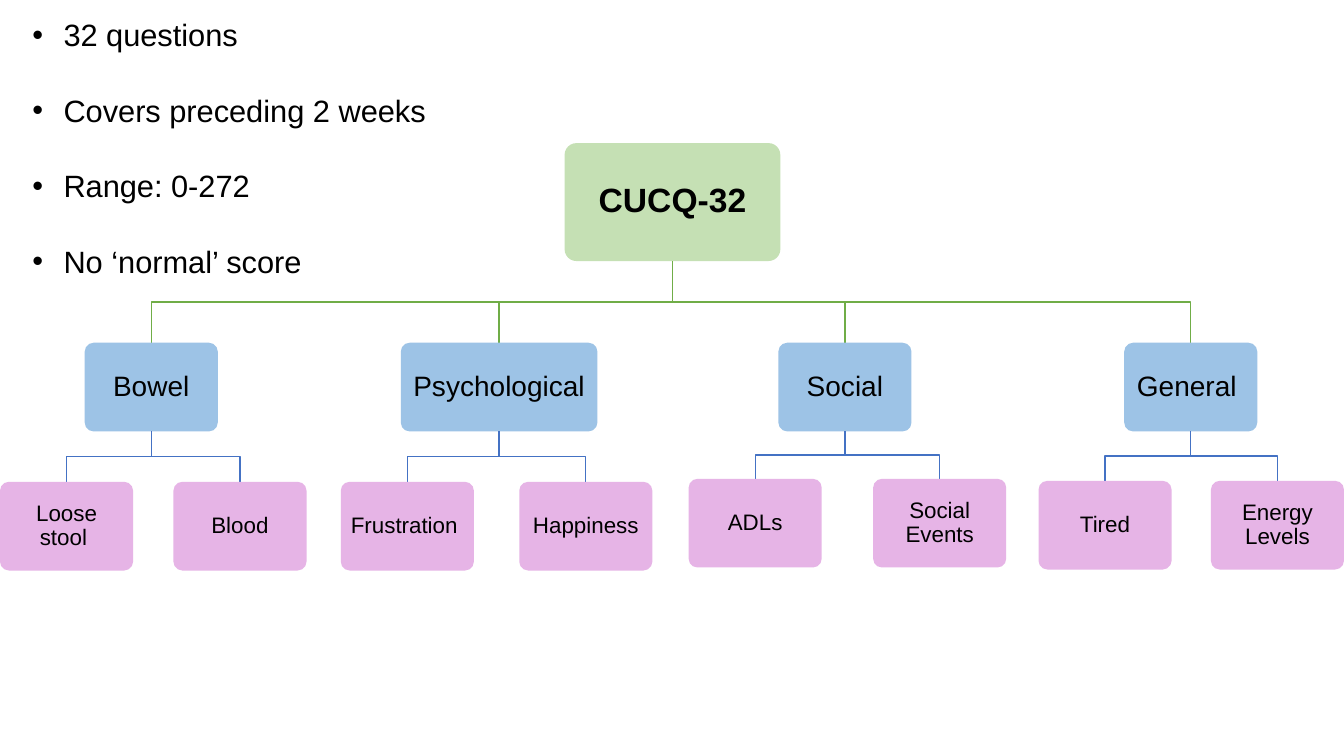
from pptx import Presentation
from pptx.dml.color import RGBColor
from pptx.enum.shapes import MSO_SHAPE
from pptx.enum.text import MSO_ANCHOR, MSO_AUTO_SIZE, PP_ALIGN
from pptx.util import Inches, Pt

ROUNDED = MSO_SHAPE.ROUNDED_RECTANGLE
MIDDLE, TOP = MSO_ANCHOR.MIDDLE, MSO_ANCHOR.TOP
CENTER, LEFT = PP_ALIGN.CENTER, PP_ALIGN.LEFT
NO_FIT = MSO_AUTO_SIZE.NONE

ROOT_X, ROOT_TOP, ROOT_W, ROOT_H = 6.67, 1.42, 2.14, 1.17
BRANCH_TOP, NODE_W, NODE_H = 3.4, 1.32, 0.88

POINTS = ["32 questions", "Covers preceding 2 weeks", "Range: 0-272", "No ‘normal’ score"]
BRANCHES = [
    ("Bowel", 1.5, NODE_W, 4.78, [("Loose stool ", 0.66), ("Blood", 2.38)]),
    ("Psychological ", 4.95, 1.95, 4.78, [("Frustration ", 4.04), ("Happiness", 5.81)]),
    ("Social", 8.38, NODE_W, 4.75, [("ADLs", 7.49), ("Social Events", 9.32)]),
    ("General ", 11.81, NODE_W, 4.77, [("Tired", 10.96), ("Energy Levels", 12.67)]),
]


def color(value):
    return RGBColor.from_string(value)


class TreeSlide:
    font = "Arial"
    text = "000000"
    root_fill, branch_fill, leaf_fill = "C5E0B4", "9DC3E6", "E6B4E6"
    root_line, branch_line = "70AD47", "4472C4"

    def __init__(self, prs):
        self.s = prs.slides.add_slide(prs.slide_layouts[1])
        title = self.s.shapes.title.element
        title.getparent().remove(title)

    def style(self, p, size, bold=False):
        for r in p.runs:
            r.font.name = self.font
            r.font.size = Pt(size)
            r.font.bold = bold
            r.font.color.rgb = color(self.text)

    def bullets(self, items, x, y, w, h, size):
        sp = self.s.placeholders[1]
        sp.left, sp.top, sp.width, sp.height = map(Inches, (x, y, w, h))
        tf = sp.text_frame
        tf.text = "\n".join(items)
        tf.auto_size = NO_FIT
        tf.vertical_anchor = TOP
        for p in tf.paragraphs:
            p.alignment = LEFT
            p.space_before = Pt(0)
            p.space_after = Pt(27.5)
            pPr = p._p.get_or_add_pPr()
            pPr.set("marL", str(Inches(0.31)))
            pPr.set("indent", str(-Inches(0.31)))
            self.style(p, size)

    def node(self, text, x, y, w, h, fill, size, inset, bold=False):
        sp = self.s.shapes.add_shape(
            ROUNDED, Inches(x - w / 2), Inches(y), Inches(w), Inches(h))
        sp.adjustments[0] = 0.1
        sp.shadow.inherit = False
        sp.fill.solid()
        sp.fill.fore_color.rgb = color(fill)
        sp.line.fill.background()
        tf = sp.text_frame
        tf.text = text
        tf.word_wrap = True
        tf.vertical_anchor = MIDDLE
        tf.margin_left = tf.margin_right = Inches(inset)
        tf.margin_top = tf.margin_bottom = Inches(inset)
        p = tf.paragraphs[0]
        p.alignment = CENTER
        p.line_spacing = 0.9
        self.style(p, size, bold)

    def link(self, x1, y1, x2, y2, line):
        mid = (y1 + y2) / 2
        path = self.s.shapes.build_freeform(Inches(x1), Inches(y1))
        corners = [(x1, mid), (x2, mid), (x2, y2)]
        path.add_line_segments([(Inches(x), Inches(y)) for x, y in corners], close=False)
        sp = path.convert_to_shape()
        sp.shadow.inherit = False
        sp.fill.background()
        sp.line.color.rgb = color(line)
        sp.line.width = Pt(1)


def main():
    prs = Presentation()
    prs.slide_width, prs.slide_height = Inches(13.33), Inches(7.5)
    tree = TreeSlide(prs)
    tree.bullets(POINTS, 0.22, 0.11, 4.75, 2.69, 22)
    tree.node("CUCQ-32", ROOT_X, ROOT_TOP, ROOT_W, ROOT_H, tree.root_fill, 24, 0.1, True)
    for name, x, width, leaf_top, leaves in BRANCHES:
        tree.link(ROOT_X, ROOT_TOP + ROOT_H, x, BRANCH_TOP, tree.root_line)
        tree.node(name, x, BRANCH_TOP, width, NODE_H, tree.branch_fill, 20, 0.08)
        for leaf, leaf_x in leaves:
            tree.link(x, BRANCH_TOP + NODE_H, leaf_x, leaf_top, tree.branch_line)
            tree.node(leaf, leaf_x, leaf_top, NODE_W, NODE_H, tree.leaf_fill, 16, 0.07)
    prs.save("out.pptx")


if __name__ == "__main__":
    main()
